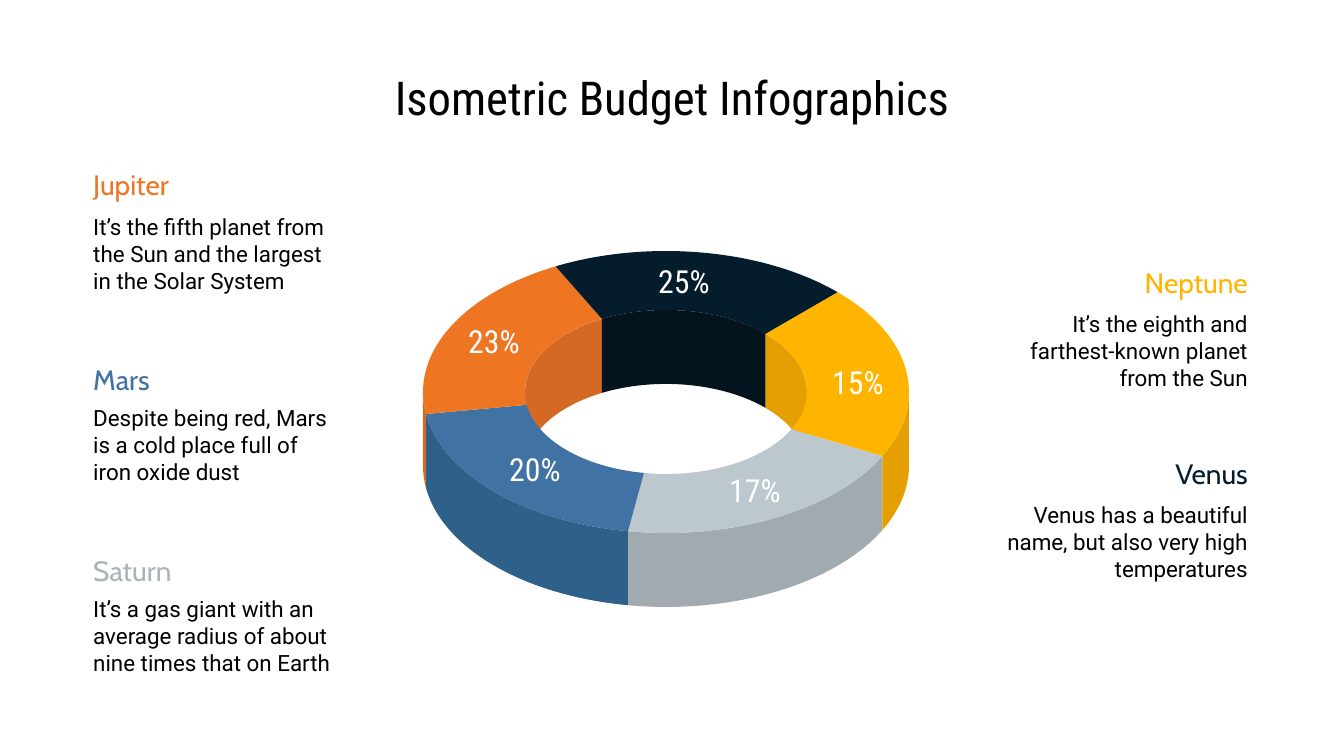
from math import cos, radians, sin, tan

from lxml import etree
from pptx import Presentation
from pptx.dml.color import RGBColor
from pptx.enum.text import MSO_ANCHOR, PP_ALIGN
from pptx.oxml.ns import qn
from pptx.util import Inches, Pt

EMU_PER_PX = 914400 / 134.4
CENTER_X, CENTER_Y = 666, 392
OUTER = (243, 141)
INNER = (141, 82)
DEPTH = 74
FIRST_ANGLE, SLICE_ANGLE = 27, 72

SLICES = [
    ("17%", "BCC7CE", "A1AAAF", 704, 460),
    ("20%", "4073A3", "2F6089", 484, 439),
    ("23%", "EE7623", "D36922", 443, 311),
    ("25%", "051C2C", "03141E", 633, 251),
    ("15%", "FFB400", "E59F03", 807, 352),
]

PLANETS = [
    ("Jupiter", "EE7623", 80, 165, 207, PP_ALIGN.LEFT,
     "It’s the fifth planet from the Sun and the largest in the Solar System"),
    ("Mars", "4073A3", 80, 360, 398, PP_ALIGN.LEFT,
     "Despite being red, Mars is a cold place full of iron oxide dust"),
    ("Saturn", "ACB3B7", 80, 551, 589, PP_ALIGN.LEFT,
     "It’s a gas giant with an average radius of about nine times that on Earth"),
    ("Neptune", "FFB400", 991, 263, 304, PP_ALIGN.RIGHT,
     "It’s the eighth and farthest-known planet from the Sun"),
    ("Venus", "051C2C", 991, 454, 495, PP_ALIGN.RIGHT,
     "Venus has a beautiful name, but also very high temperatures"),
]


def px(length):
    return round(length * EMU_PER_PX)


def color(hex_value):
    return RGBColor.from_string(hex_value)


def add_text(slide, text, box, font, size, hex_value, align):
    frame = slide.shapes.add_textbox(*map(px, box)).text_frame
    frame.word_wrap = True
    frame.vertical_anchor = MSO_ANCHOR.MIDDLE
    frame.margin_left = frame.margin_right = Inches(0.1)
    frame.margin_top = frame.margin_bottom = Inches(0.1)
    frame.text = text
    paragraph = frame.paragraphs[0]
    paragraph.alignment = align
    run_font = paragraph.runs[0].font
    run_font.name = font
    run_font.size = Pt(size)
    run_font.color.rgb = color(hex_value)


def arc(radii, start, end, drop=0):
    def place(x, y):
        return (px(CENTER_X + radii[0] * x), px(CENTER_Y + drop + radii[1] * y))

    stops = [start, *(a for a in range(0, 540, 90) if start < a < end), end]
    points = [place(cos(radians(start)), sin(radians(start)))]
    for a, b in zip(map(radians, stops), map(radians, stops[1:])):
        pull = 4 / 3 * tan((b - a) / 4)
        points += [
            place(cos(a) - pull * sin(a), sin(a) + pull * cos(a)),
            place(cos(b) + pull * sin(b), sin(b) - pull * cos(b)),
            place(cos(b), sin(b)),
        ]
    return points


def curve_segments(segments):
    for first, second, third in zip(*[iter(segments)] * 3):
        curve = etree.Element(qn("a:cubicBezTo"))
        first.addprevious(curve)
        for segment in (first, second, third):
            curve.append(segment[0])
            segment.getparent().remove(segment)


def add_band(slide, edge, opposite_edge, hex_value):
    points = edge + opposite_edge[::-1]
    builder = slide.shapes.build_freeform(*points[0], scale=1.0)
    builder.add_line_segments(points[1:], close=True)
    band = builder.convert_to_shape()
    segments = list(band.element.iter(qn("a:lnTo")))
    curve_segments(segments[:len(edge) - 1])
    curve_segments(segments[len(edge):len(points) - 1])
    band.shadow.inherit = False
    band.fill.solid()
    band.fill.fore_color.rgb = color(hex_value)
    band.line.fill.background()


def add_wall(slide, radii, start, end, half_start, hex_value):
    start, end = max(start, half_start), min(end, half_start + 180)
    if start < end:
        add_band(slide, arc(radii, start, end),
                 arc(radii, start, end, DEPTH), hex_value)


def add_ring(slide):
    spans = [(FIRST_ANGLE + i * SLICE_ANGLE, FIRST_ANGLE + (i + 1) * SLICE_ANGLE)
             for i in range(len(SLICES))]
    for radii, half_start in ((INNER, 180), (OUTER, 0), (OUTER, 360)):
        for (start, end), (_, _, wall, _, _) in zip(spans, SLICES):
            add_wall(slide, radii, start, end, half_start, wall)
    for (start, end), (_, top, _, _, _) in zip(spans, SLICES):
        add_band(slide, arc(OUTER, start, end), arc(INNER, start, end), top)


def add_planet(slide, name, hex_value, left, name_top, fact_top, align, fact):
    add_text(slide, name, (left, name_top, 270, 39), "Cabin", 15, hex_value, align)
    add_text(slide, fact, (left, fact_top, 270, 93), "Roboto", 12, "000000", align)


def main():
    presentation = Presentation()
    presentation.slide_width = px(1344)
    presentation.slide_height = px(756)
    slide = presentation.slides.add_slide(presentation.slide_layouts[6])
    add_ring(slide)
    add_text(slide, "Isometric Budget Infographics", (104, 67, 1136, 59),
             "Roboto Condensed", 25, "000000", PP_ALIGN.CENTER)
    for planet in PLANETS:
        add_planet(slide, *planet)
    for share, _, _, left, top in SLICES:
        add_text(slide, share, (left, top, 102, 59),
                 "Roboto Condensed", 17, "FFFFFF", PP_ALIGN.CENTER)
    presentation.save("out.pptx")


if __name__ == "__main__":
    main()
